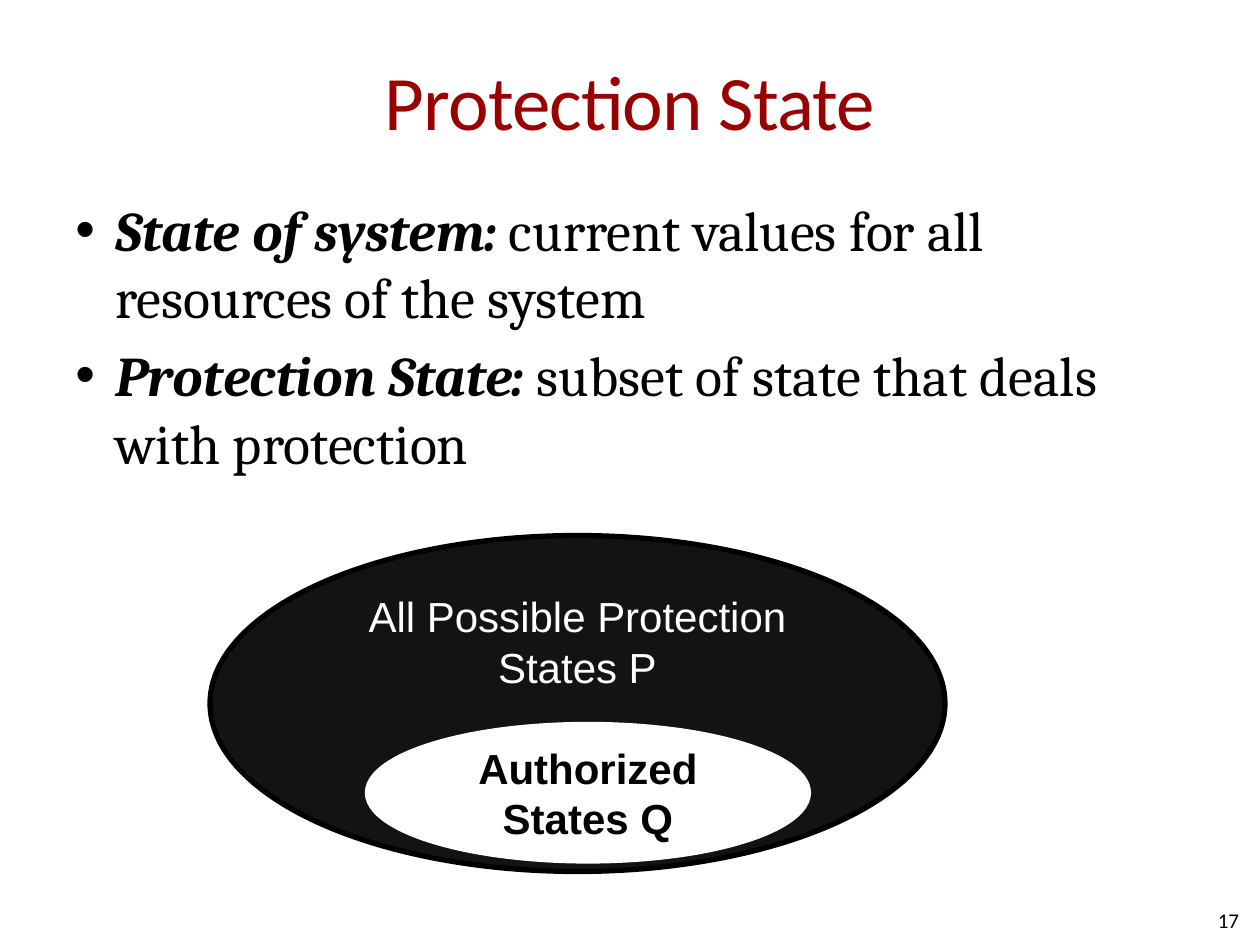
from lxml.etree import SubElement
from pptx import Presentation
from pptx.dml.color import RGBColor
from pptx.enum.shapes import MSO_SHAPE as Shape
from pptx.enum.text import MSO_ANCHOR as Anchor, PP_ALIGN as Align
from pptx.oxml.ns import qn
from pptx.util import Pt

BLACK, WHITE, DARK_RED, CHARCOAL = "000000", "FFFFFF", "990000", "131313"
DEFINITIONS = [
    ("State of system:", " current values for all resources of the system"),
    ("Protection State:", " subset of state that deals with protection"),
]


def color(hex_code):
    return RGBColor.from_string(hex_code)


def format_run(run, font_name, size, hex_code, bold=False, italic=False):
    font = run.font
    font.name, font.size = font_name, Pt(size)
    font.bold, font.italic = bold, italic
    font.color.rgb = color(hex_code)


def add_text_frame(slide, box, anchor=Anchor.TOP, insets=(7.2, 3.6)):
    """Add a wrapping text box; insets are horizontal, then vertical."""
    text_frame = slide.shapes.add_textbox(*map(Pt, box)).text_frame
    text_frame.word_wrap = True
    text_frame.vertical_anchor = anchor
    horizontal, vertical = map(Pt, insets)
    text_frame.margin_left = text_frame.margin_right = horizontal
    text_frame.margin_top = text_frame.margin_bottom = vertical
    return text_frame


def add_title(slide, box, text):
    paragraph = add_text_frame(slide, box, Anchor.MIDDLE, (0, 3.6)).paragraphs[0]
    paragraph.text = text
    paragraph.alignment = Align.CENTER
    run = paragraph.runs[0]
    format_run(run, "Calibri", 44, DARK_RED)
    run.font._element.set("spc", "-50")


def set_bullet(paragraph, indent):
    properties = paragraph._p.get_or_add_pPr()
    properties.set("marL", str(Pt(indent)))
    properties.set("indent", str(-Pt(indent)))
    bullet_color = SubElement(properties, qn("a:buClr"))
    SubElement(bullet_color, qn("a:srgbClr"), val=BLACK)
    SubElement(properties, qn("a:buFont"), typeface="Arial")
    SubElement(properties, qn("a:buChar"), char="•")


def add_definitions(slide, box, definitions):
    text_frame = add_text_frame(slide, box)
    for index, (term, meaning) in enumerate(definitions):
        paragraph = text_frame.add_paragraph() if index else text_frame.paragraphs[0]
        paragraph.space_before = Pt(6.4)
        set_bullet(paragraph, 23)
        for text, emphasis in ((term, True), (meaning, False)):
            run = paragraph.add_run()
            run.text = text
            format_run(run, "Cambria", 32, BLACK, emphasis, emphasis)


def add_state_set(slide, box, text, fill, line, text_color, anchor, bold=False):
    ellipse = slide.shapes.add_shape(Shape.OVAL, *map(Pt, box))
    ellipse.shadow.inherit = False
    ellipse.fill.solid()
    ellipse.fill.fore_color.rgb = color(fill)
    ellipse.line.color.rgb = color(line)
    ellipse.line.width = Pt(3)
    text_frame = ellipse.text_frame
    text_frame.text = text
    text_frame.word_wrap = True
    text_frame.vertical_anchor = anchor
    paragraph = text_frame.paragraphs[0]
    paragraph.alignment = Align.CENTER
    paragraph.space_before = Pt(12)
    format_run(paragraph.runs[0], "Arial", 24, text_color, bold)


def add_state_diagram(slide, box):
    """Draw the authorized states as a subset of all protection states."""
    left, top, width, height = box
    add_state_set(slide, box, "All Possible Protection States P",
                  CHARCOAL, BLACK, WHITE, Anchor.TOP)
    add_state_set(slide, (left + 90, top + 108, width * 0.6, 78), "Authorized States Q",
                  WHITE, WHITE, BLACK, Anchor.MIDDLE, bold=True)


def add_page_number(slide, box, number):
    paragraph = add_text_frame(slide, box, Anchor.MIDDLE, (0, 0)).paragraphs[0]
    paragraph.text = number
    paragraph.alignment = Align.RIGHT
    format_run(paragraph.runs[0], "Calibri", 12, BLACK)


def main():
    presentation = Presentation()
    presentation.slide_width, presentation.slide_height = Pt(720), Pt(540)
    slide = presentation.slides.add_slide(presentation.slide_layouts[6])
    add_title(slide, (36, 12, 648, 90), "Protection State")
    add_definitions(slide, (36, 108, 648, 374.4), DEFINITIONS)
    add_state_diagram(slide, (120, 306, 420, 192))
    add_page_number(slide, (540, 511.2, 168, 28.8), "17")
    presentation.save("out.pptx")


if __name__ == "__main__":
    main()
